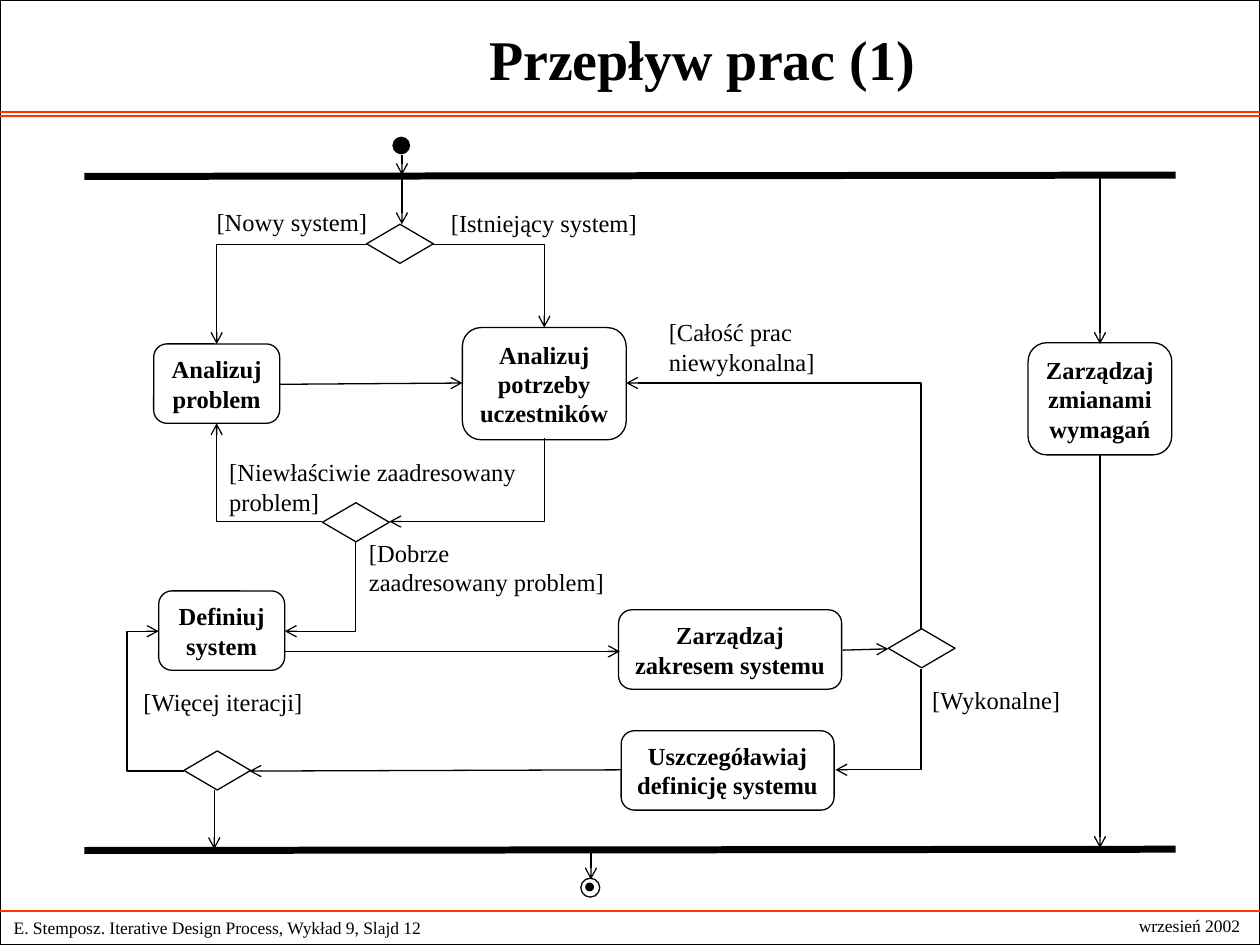
from lxml import etree
from pptx import Presentation
from pptx.dml.color import RGBColor
from pptx.enum.shapes import MSO_CONNECTOR, MSO_SHAPE
from pptx.enum.text import MSO_ANCHOR, PP_ALIGN
from pptx.oxml.ns import qn
from pptx.util import Inches, Pt

STRAIGHT, ELBOW = MSO_CONNECTOR.STRAIGHT, MSO_CONNECTOR.ELBOW
RECT, ROUNDED = MSO_SHAPE.RECTANGLE, MSO_SHAPE.ROUNDED_RECTANGLE
OVAL, DIAMOND = MSO_SHAPE.OVAL, MSO_SHAPE.DIAMOND
LEFT, CENTER = PP_ALIGN.LEFT, PP_ALIGN.CENTER
TOP, MIDDLE = MSO_ANCHOR.TOP, MSO_ANCHOR.MIDDLE

WIDTH, HEIGHT = Inches(10), Inches(7.5)
COLS, ROWS = 100, 75
FONT = "Times New Roman"
COLORS = {"ink": "000000", "paper": "FFFFFF", "rule": "FF3300"}

ACTIVITIES = [
    (12.2, 27.3, 10, 6.3, "Analizuj\nproblem"),
    (36.7, 26, 13, 8.9, "Analizuj\npotrzeby\nuczestników"),
    (12.6, 46.9, 10, 6.3, "Definiuj\nsystem"),
    (49.1, 48.4, 17.7, 6.3, "Zarządzaj\nzakresem systemu"),
    (49.3, 58, 16.9, 6.3, "Uszczegóławiaj\ndefinicję systemu"),
    (81.6, 27.2, 11.4, 8.9, "Zarządzaj\nzmianami\nwymagań"),
]
DECISIONS = [(29.1, 17.8), (25.6, 39.9), (70.5, 49.9), (14.6, 59.6)]
GUARDS = [
    (16.2, 15.9, 14.2, 3.4, "[Nowy system]"),
    (34.8, 16, 16.8, 3.4, "[Istniejący system]"),
    (28.3, 42.2, 20.7, 5.7, "[Dobrze\nzaadresowany problem]"),
    (17.2, 35.8, 24.8, 5.7, "[Niewłaściwie zaadresowany\nproblem]"),
    (52.1, 24.7, 13.6, 5.7, "[Całość prac\nniewykonalna]"),
    (73, 53.9, 12.4, 3.4, "[Wykonalne]"),
    (10.4, 54, 14.7, 3.4, "[Więcej iteracji]"),
]
BARS = [(6.7, 14, 93.3, 13.9), (6.7, 67.5, 93.3, 67.4)]
ARROWS = [
    (31.9, 12.3, 31.9, 13.9), (31.9, 13.9, 31.9, 17.8),
    (22.2, 30.5, 36.7, 30.4), (22.5, 51.7, 49.2, 51.7),
    (66.9, 51.6, 70.5, 51.5), (49.3, 61.1, 19.8, 61.2),
    (17, 62.7, 17, 67.4), (46.9, 67.4, 46.9, 69.8),
    (87.3, 13.9, 87.3, 27.3), (87.3, 36.1, 87.3, 67.3),
]
ACROSS_FIRST = [(29.1, 19.4, 17.2, 27.3), (34.4, 19.4, 43.2, 26), (25.6, 41.4, 17.2, 33.6)]
VERTICAL_THEN_LEFT = [
    (43.2, 34.8, 30.9, 41.4), (28.2, 43, 22.6, 50.1),
    (73.1, 53.1, 66.3, 61.1), (73.1, 49.9, 49.7, 30.4),
]


def col(n):
    """Return the horizontal length of n grid columns."""
    return round(WIDTH * n / COLS)


def row(n):
    """Return the vertical length of n grid rows."""
    return round(HEIGHT * n / ROWS)


def rgb(name):
    """Return a named palette colour."""
    return RGBColor.from_string(COLORS[name])


def write(sp, text, size, bold=False, align=LEFT, anchor=TOP, wrap=False):
    """Put formatted text in a shape."""
    tf = sp.text_frame
    tf.text = text
    tf.word_wrap = wrap
    tf.vertical_anchor = anchor
    for p in tf.paragraphs:
        p.alignment = align
        p.font.size = Pt(size)
        p.font.bold = bold
        p.font.name = FONT
        p.font.color.rgb = rgb("ink")


def add_text(s, x, y, w, h, text, size, **style):
    """Add a text box on the grid."""
    sp = s.shapes.add_textbox(col(x), row(y), col(w), row(h))
    write(sp, text, size, **style)


def add_node(s, kind, x, y, w, h, fill=None):
    """Add an outlined preset shape on the grid."""
    sp = s.shapes.add_shape(kind, col(x), row(y), col(w), row(h))
    sp.shadow.inherit = False
    if fill:
        sp.fill.solid()
        sp.fill.fore_color.rgb = rgb(fill)
    else:
        sp.fill.background()
    sp.line.color.rgb = rgb("ink")
    sp.line.width = Pt(0.75)
    return sp


def add_line(s, x1, y1, x2, y2, color="ink", width=0.75, arrow=False, kind=STRAIGHT):
    """Add a connector between two grid points."""
    c = s.shapes.add_connector(kind, col(x1), row(y1), col(x2), row(y2))
    c.line.color.rgb = rgb(color)
    c.line.width = Pt(width)
    if arrow:
        etree.SubElement(c._element.spPr.find(qn("a:ln")), qn("a:tailEnd"), type="arrow")
    etree.SubElement(c._element.spPr, qn("a:effectLst"))
    return c


def add_corner(s, x1, y1, x2, y2):
    """Add an arrow that goes across and then turns once."""
    c = add_line(s, x1, y1, x2, y2, arrow=True, kind=ELBOW)
    c._element.spPr.find(qn("a:prstGeom")).set("prst", "bentConnector2")
    return c


def add_corner_left(s, x1, y1, x2, y2):
    """Add an arrow that goes up or down and then left, as a turned corner."""
    cx, cy = (x1 + x2) / 2, (y1 + y2) / 2
    dx, dy = abs(y2 - y1) / 2, (x1 - x2) / 2
    down = y2 > y1
    if not down:
        dy = -dy
    c = add_corner(s, cx - dx, cy - dy, cx + dx, cy + dy)
    c._element.spPr.find(qn("a:xfrm")).set("rot", str((90 if down else 270) * 60000))


def add_loop(s, x1, y1, x2, y2, reach):
    """Add an arrow that swings out past both ends by a share of its width."""
    c = add_line(s, x1, y1, x2, y2, arrow=True, kind=ELBOW)
    av = c._element.spPr.find(qn("a:prstGeom")).find(qn("a:avLst"))
    etree.SubElement(av, qn("a:gd"), name="adj1", fmla=f"val {round(reach * 100000)}")


def add_frame(s):
    """Add the border, rules, title and footer."""
    add_node(s, RECT, 0, 0, COLS, ROWS, "paper")
    for y in (8.9, 9.2, 72.3):
        add_line(s, 0, y, COLS, y, "rule")
    add_text(s, 11.6, 0, 88.3, 9.2, "Przepływ prac (1)", 32,
             bold=True, align=CENTER, anchor=MIDDLE, wrap=True)
    add_text(s, 0.1, 72.3, 44.8, 2.7, "E. Stemposz. Iterative Design Process, Wykład 9, Slajd 12",
             10, anchor=MIDDLE, wrap=True)
    add_text(s, 89.2, 72.1, 10.4, 2.7, "wrzesień 2002", 10, align=CENTER, anchor=MIDDLE)


def add_flow(s):
    """Add the bars, nodes, arrows and guards of the activity diagram."""
    for bar in BARS:
        add_line(s, *bar, width=4)
    add_node(s, OVAL, 31.2, 10.9, 1.3, 1.3, "ink")
    add_node(s, OVAL, 46.5, 70.1, 0.6, 0.6, "ink")
    add_node(s, OVAL, 46.1, 69.7, 1.5, 1.5)
    for x, y in DECISIONS:
        add_node(s, DIAMOND, x, y, 5.3, 3.1)
    for *box, text in ACTIVITIES:
        sp = add_node(s, ROUNDED, *box)
        write(sp, text, 14, bold=True, align=CENTER, anchor=MIDDLE)
    for arrow in ARROWS:
        add_line(s, *arrow, arrow=True)
    for corner in ACROSS_FIRST:
        add_corner(s, *corner)
    for corner in VERTICAL_THEN_LEFT:
        add_corner_left(s, *corner)
    add_loop(s, 14.6, 61.2, 12.6, 50.1, 2.25)
    for *box, text in GUARDS:
        add_text(s, *box, text, 14)


def main():
    """Build and save the slide."""
    prs = Presentation()
    prs.slide_width, prs.slide_height = WIDTH, HEIGHT
    s = prs.slides.add_slide(prs.slide_layouts[6])
    add_frame(s)
    add_flow(s)
    prs.save("out.pptx")


if __name__ == "__main__":
    main()
